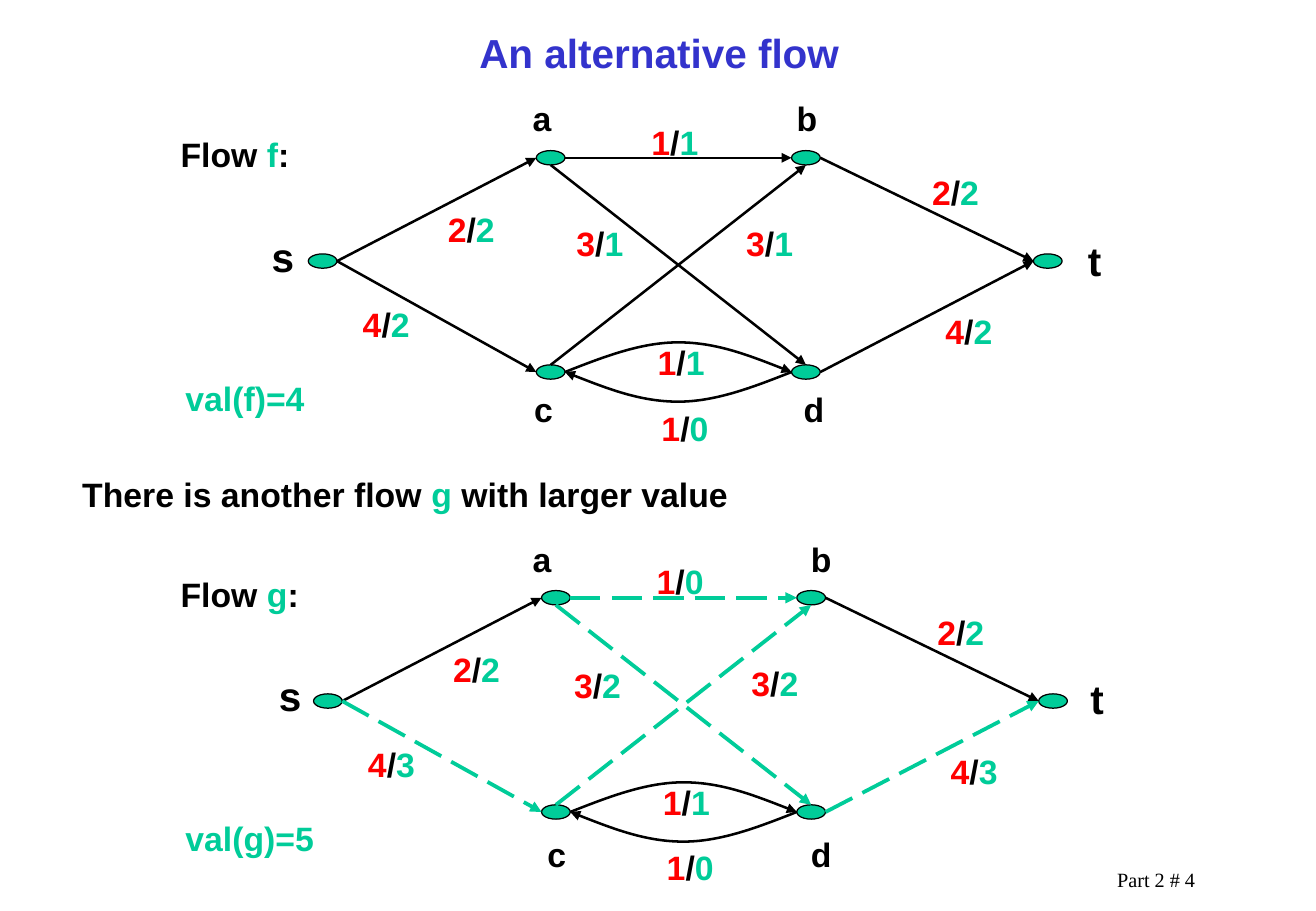
from dataclasses import dataclass

from lxml.etree import SubElement
from pptx import Presentation
from pptx.dml.color import RGBColor
from pptx.enum.dml import MSO_LINE
from pptx.enum.shapes import MSO_CONNECTOR, MSO_SHAPE
from pptx.enum.text import MSO_ANCHOR, PP_ALIGN
from pptx.oxml.ns import qn
from pptx.util import Cm, Pt


@dataclass(frozen=True)
class Theme:
    ink: str = "000000"
    title: str = "3333CC"
    capacity: str = "FF0000"
    flow: str = "00CC99"
    sans: str = "Arial"
    serif: str = "Times New Roman"
    large: int = 24
    body: int = 20
    footer: int = 12
    outline: float = 0.75
    edge: float = 1.5
    changed_edge: float = 2.25


@dataclass(frozen=True)
class Flow:
    name: str
    value: int
    shift: tuple      # offset of the whole network, cm
    amounts: dict     # edge -> flow along it
    changed: tuple    # edges drawn dashed
    name_spots: dict  # node -> centre of its letter, cm
    ad_spot: tuple    # centre of the label of edge ad, before the shift


THEME = Theme()

# Network geometry in cm: node centres, and capacity with label centre per edge
NODE_W, NODE_H, BULGE = 0.6, 0.3, 0.62
NODES = {"s": (6.75, 5.46), "a": (11.52, 3.3), "b": (16.86, 3.3),
         "c": (11.52, 7.78), "d": (16.86, 7.78), "t": (21.92, 5.46)}
EDGES = {"sa": (2, (9.86, 4.78)), "sc": (4, (8.08, 6.78)),
         "ab": (1, (14.12, 2.96)), "ad": (3, None),
         "cb": (3, (16.1, 5.08)), "bt": (2, (19.99, 4.01)),
         "dt": (4, (20.27, 6.93)), "cd": (1, (14.25, 7.57)),
         "dc": (1, (14.33, 8.94))}
SIDES = {"left": (-NODE_W / 2, 0), "right": (NODE_W / 2, 0),
         "top": (0, -NODE_H / 2), "bottom": (0, NODE_H / 2)}
EDGE_SIDES = {"ad": ("bottom", "top"), "cb": ("top", "bottom"),
              "dc": ("left", "right")}
CURVED = ("cd", "dc")

FLOWS = (
    Flow("f", 4, (0, 0),
         {"sa": 2, "sc": 2, "ab": 1, "ad": 1, "cb": 1, "bt": 2, "dt": 2,
          "cd": 1, "dc": 0},
         (),
         {"s": (5.92, 5.36), "t": (22.9, 5.44), "a": (11.34, 2.46),
          "b": (16.88, 2.46), "c": (11.37, 8.56), "d": (17.03, 8.56)},
         (12.55, 5.08)),
    Flow("g", 5, (0.11, 9.2),
         {"sa": 2, "sc": 3, "ab": 0, "ad": 2, "cb": 2, "bt": 2, "dt": 3,
          "cd": 1, "dc": 0},
         ("sc", "ab", "ad", "cb", "dt"),
         {"s": (6.07, 14.55), "t": (22.95, 14.61), "a": (11.34, 11.68),
          "b": (17.18, 11.68), "c": (11.65, 17.86), "d": (17.18, 17.86)},
         (12.39, 5.13)),
)


def moved(point, offset):
    return point[0] + offset[0], point[1] + offset[1]


def format_font(font, size, colour, family=THEME.sans, bold=True):
    font.name, font.size, font.bold = family, Pt(size), bold
    font.color.rgb = RGBColor.from_string(colour)


def add_text(slide, left, top, width, height, pieces, size=THEME.body,
             align=PP_ALIGN.LEFT, family=THEME.sans, bold=True):
    """Place one line of text made of (text, colour) pieces."""
    box = slide.shapes.add_textbox(Cm(left), Cm(top), Cm(width), Cm(height))
    frame = box.text_frame
    frame.word_wrap = True
    frame.vertical_anchor = MSO_ANCHOR.MIDDLE
    line = frame.paragraphs[0]
    line.alignment = align
    for text, colour in pieces:
        run = line.add_run()
        run.text = text
        format_font(run.font, size, colour, family, bold)


def add_label(slide, centre, pieces, size=THEME.body):
    width, height = 1.6, 1.12
    add_text(slide, centre[0] - width / 2, centre[1] - height / 2,
             width, height, pieces, size, PP_ALIGN.CENTER)


def add_node(slide, centre):
    node = slide.shapes.add_shape(
        MSO_SHAPE.OVAL, Cm(centre[0] - NODE_W / 2), Cm(centre[1] - NODE_H / 2),
        Cm(NODE_W), Cm(NODE_H))
    node.fill.solid()
    node.fill.fore_color.rgb = RGBColor.from_string(THEME.flow)
    node.line.color.rgb = RGBColor.from_string(THEME.ink)
    node.line.width = Pt(THEME.outline)
    node.shadow.inherit = False


def style_arrow(arrow, changed):
    line = arrow.line
    line.color.rgb = RGBColor.from_string(THEME.flow if changed else THEME.ink)
    line.width = Pt(THEME.changed_edge if changed else THEME.edge)
    if changed:
        line.dash_style = MSO_LINE.LONG_DASH
    properties = arrow.element.spPr
    SubElement(properties.find(qn("a:ln")), qn("a:tailEnd"), type="triangle")
    SubElement(properties, qn("a:effectLst"))


def add_straight_edge(slide, start, end):
    return slide.shapes.add_connector(
        MSO_CONNECTOR.STRAIGHT, *(Cm(v) for v in (*start, *end)))


def add_curved_edge(slide, start, end):
    """Arc to the left of the travel direction, as two cubic curves."""
    run = end[0] - start[0]
    rise = -BULGE if run > 0 else BULGE
    points = [(Cm(start[0] + run * step / 6), Cm(start[1] + rise * height))
              for step, height in enumerate((0.5, 1, 1, 1, 0.5, 0), 1)]
    builder = slide.shapes.build_freeform(Cm(start[0]), Cm(start[1]))
    builder.add_line_segments(points, close=False)
    arc = builder.convert_to_shape()
    arc.fill.background()
    # Join each three straight segments into one cubic curve
    segments = list(arc.element.iter(qn("a:lnTo")))
    for first, second, third in (segments[:3], segments[3:]):
        first.tag = qn("a:cubicBezTo")
        for segment in (second, third):
            first.append(segment[0])
            segment.getparent().remove(segment)
    return arc


def add_network(slide, flow):
    nodes = {name: moved(spot, flow.shift) for name, spot in NODES.items()}
    for centre in nodes.values():
        add_node(slide, centre)

    # Edges
    for edge in EDGES:
        tail, head = EDGE_SIDES.get(edge, ("right", "left"))
        start = moved(nodes[edge[0]], SIDES[tail])
        end = moved(nodes[edge[1]], SIDES[head])
        draw = add_curved_edge if edge in CURVED else add_straight_edge
        style_arrow(draw(slide, start, end), edge in flow.changed)

    # Capacity / flow labels
    for edge, (capacity, spot) in EDGES.items():
        add_label(slide, moved(spot or flow.ad_spot, flow.shift),
                  [(str(capacity), THEME.capacity), ("/", THEME.ink),
                   (str(flow.amounts[edge]), THEME.flow)])

    # Node names and captions
    for name, spot in flow.name_spots.items():
        add_label(slide, spot, [(name, THEME.ink)],
                  THEME.large if name in "st" else THEME.body)
    add_text(slide, 3.53, 2.67 + flow.shift[1], 4, 1.12,
             [("Flow ", THEME.ink), (flow.name, THEME.flow), (":", THEME.ink)])
    add_text(slide, 3.63, 7.77 + flow.shift[1], 4, 1.12,
             [(f"val({flow.name})={flow.value}", THEME.flow)])


def add_title(slide, text):
    title = slide.shapes.title
    title.left, title.top, title.width, title.height = (
        Cm(8.79), Cm(0.46), Cm(10), Cm(1.27))
    title.text_frame.text = text
    line = title.text_frame.paragraphs[0]
    line.alignment = PP_ALIGN.CENTER
    format_font(line.runs[0].font, THEME.large, THEME.title)


def main():
    deck = Presentation()
    deck.slide_width, deck.slide_height = Cm(27.53), Cm(19.05)
    slide = deck.slides.add_slide(deck.slide_layouts[5])

    add_title(slide, "An alternative flow")
    for flow in FLOWS:
        add_network(slide, flow)

    # Sentence between the networks, and the footer
    add_text(slide, 1.47, 9.78, 16, 1.12,
             [("There is another flow ", THEME.ink), ("g", THEME.flow),
              (" with larger value", THEME.ink)])
    add_text(slide, 23.12, 18.01, 3, 0.76, [("Part 2 # 4", THEME.ink)],
             THEME.footer, family=THEME.serif, bold=False)

    deck.save("out.pptx")


if __name__ == "__main__":
    main()
